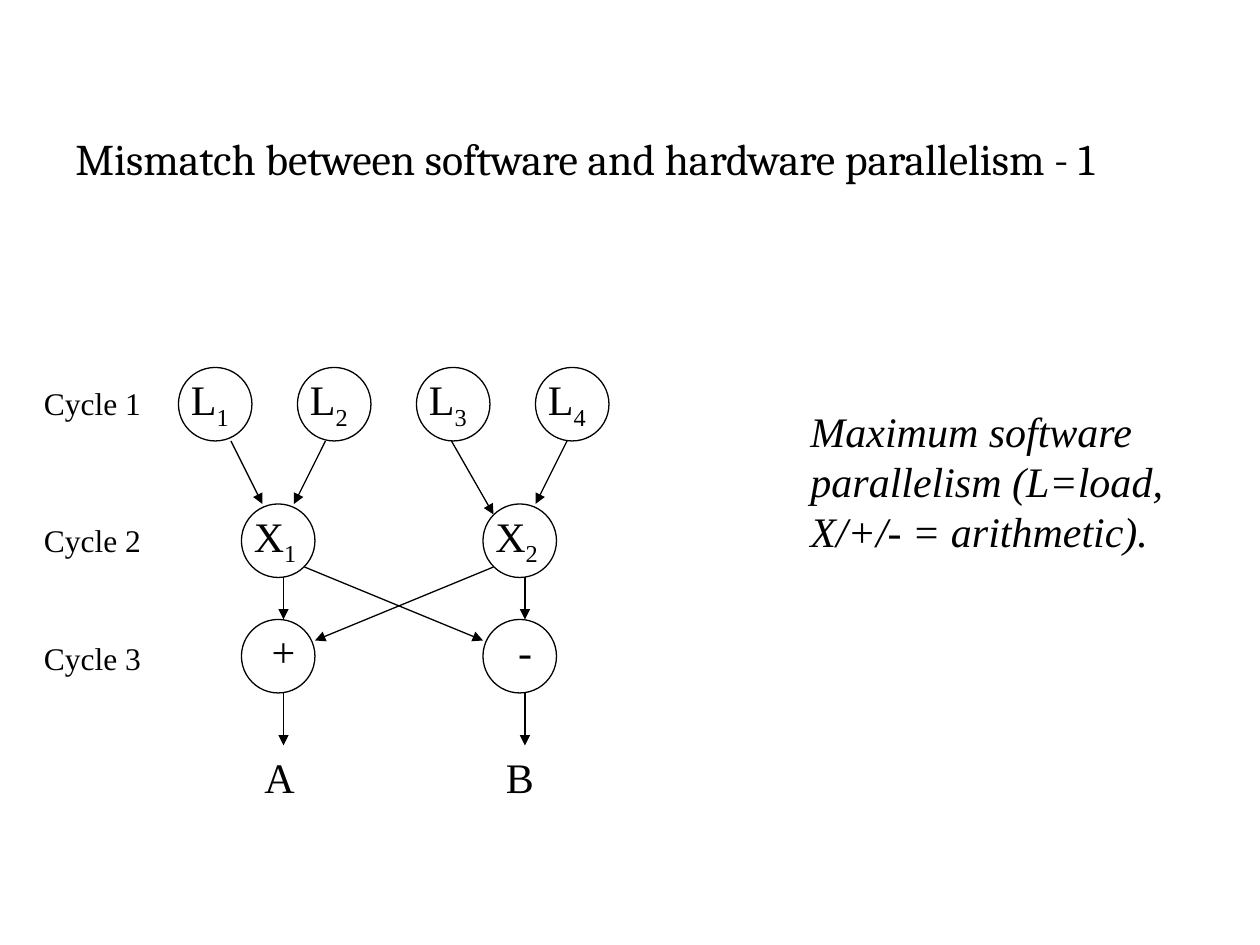
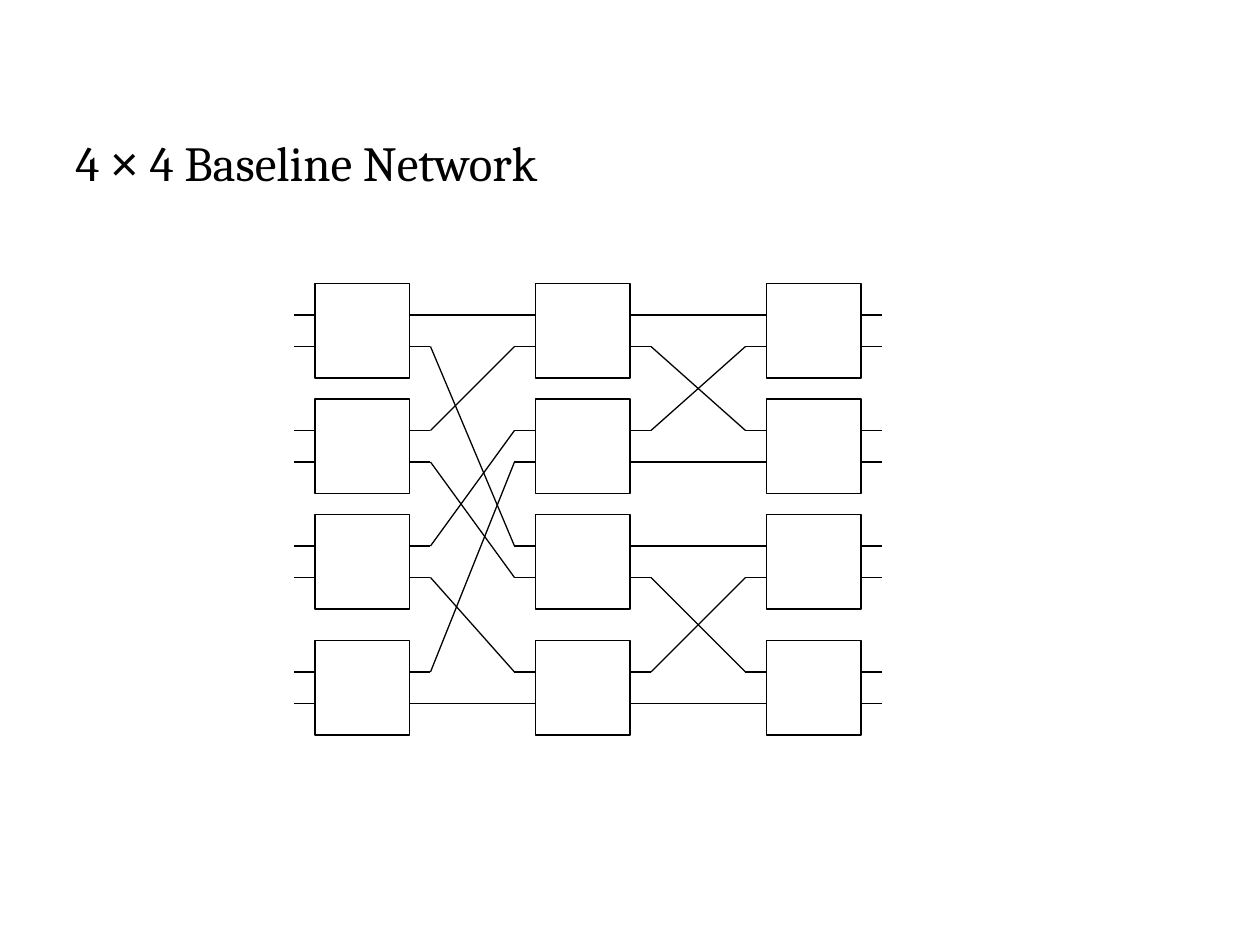
from lxml import etree
from pptx import Presentation
from pptx.dml.color import RGBColor
from pptx.enum import shapes, text
from pptx.oxml import ns
from pptx.util import Pt

INK = RGBColor(0, 0, 0)
PAPER = RGBColor(255, 255, 255)
TITLE_FONT, BODY_FONT, SYMBOL_FONT = "Cambria", "Times New Roman", "Arial"
TITLE_BOX = (36, 72, 648, 72)
LINE_WIDTH = 0.75
SUBSCRIPT = "-25000"


def add_text(slide, box, size, runs, align=text.PP_ALIGN.LEFT, italic=False):
    """Add a text box; each run is (words, font, baseline shift or None)."""
    frame = slide.shapes.add_textbox(*map(Pt, box)).text_frame
    frame.word_wrap = True
    frame.auto_size = text.MSO_AUTO_SIZE.NONE
    frame.vertical_anchor = text.MSO_ANCHOR.TOP
    paragraph = frame.paragraphs[0]
    paragraph.alignment = align
    for words, font, baseline in runs:
        run = paragraph.add_run()
        run.text = words
        run.font.name = font
        run.font.size = Pt(size)
        run.font.italic = italic
        run.font.color.rgb = INK
        if baseline:
            run._r.get_or_add_rPr().set("baseline", baseline)


def add_line(slide, x1, y1, x2, y2, arrow=False):
    line = slide.shapes.add_connector(
        shapes.MSO_CONNECTOR.STRAIGHT, Pt(x1), Pt(y1), Pt(x2), Pt(y2))
    line.line.color.rgb = INK
    line.line.width = Pt(LINE_WIDTH)
    if arrow:
        etree.SubElement(line.line._get_or_add_ln(), ns.qn("a:tailEnd"), type="triangle")
    etree.SubElement(line._element.spPr, ns.qn("a:effectLst"))


deck = Presentation()
deck.slide_width, deck.slide_height = Pt(720), Pt(540)
titles = [
    (25, [("Mismatch between software and hardware parallelism - 1", TITLE_FONT, None)]),
    (28, [("4 ", TITLE_FONT, None), ("×", SYMBOL_FONT, None),
          (" 4 Baseline Network", TITLE_FONT, None)]),
]
for size, runs in titles:
    slide = deck.slides.add_slide(deck.slide_layouts[6])
    slide.background.fill.solid()
    slide.background.fill.fore_color.rgb = PAPER
    add_text(slide, TITLE_BOX, size, runs)
parallelism, network = deck.slides

# Slide 1: data-flow graph over three cycles
NODE = 42
LOAD_Y, MULTIPLY_Y, SUM_Y = 210, 288, 354
BRANCHES = (138, 276)
nodes = [(102 + 68 * i, LOAD_Y, "L", str(i + 1)) for i in range(4)]
nodes += [(x, MULTIPLY_Y, "X", str(i + 1)) for i, x in enumerate(BRANCHES)]
nodes += [(x, SUM_Y, sign, "") for x, sign in zip(BRANCHES, "+-")]
for x, y, letter, index in nodes:
    node = parallelism.shapes.add_shape(
        shapes.MSO_SHAPE.OVAL, Pt(x), Pt(y), Pt(NODE), Pt(NODE))
    node.shadow.inherit = False
    node.fill.background()
    node.line.color.rgb = INK
    node.line.width = Pt(LINE_WIDTH)
    label = [(letter, BODY_FONT, None)]
    if index:
        label.append((index, BODY_FONT, SUBSCRIPT))
    add_text(parallelism, (x, y, 48, 40), 24, label,
             text.PP_ALIGN.LEFT if index else text.PP_ALIGN.CENTER)

flows = [
    (132, 252, 150, 288), (186, 252, 168, 288),
    (258, 252, 282, 294), (324, 252, 306, 288),
    (174, 324, 276, 366), (282, 324, 180, 366),
]
for x, result in zip(BRANCHES, "AB"):
    flows += [(x + 24, MULTIPLY_Y + NODE, x + 24, SUM_Y),
              (x + 24, SUM_Y + NODE, x + 24, 426)]
    add_text(parallelism, (x + 6, 426, 36, 36), 24, [(result, BODY_FONT, None)])
for flow in flows:
    add_line(parallelism, *flow, arrow=True)

for cycle, y in enumerate((216, 294, 361.5), 1):
    add_text(parallelism, (18, y, 72, 29), 18, [(f"Cycle {cycle}", BODY_FONT, None)])
add_text(parallelism, (456, 228, 228, 94), 24,
         [("Maximum software parallelism (L=load, X/+/- = arithmetic).", BODY_FONT, None)],
         italic=True)

# Slide 2: three stages of switches with permuted wiring between them
SWITCH, STUB = 54, 12
STAGES = (180, 306, 438)
ROWS = (162, 228, 294, 366)
PORTS = [y + offset for y in ROWS for offset in (18, 36)]
WIRING = ((0, 4, 1, 5, 2, 6, 3, 7), (0, 2, 1, 3, 4, 6, 5, 7))
for x in STAGES:
    for y in ROWS:
        switch = network.shapes.add_shape(
            shapes.MSO_SHAPE.RECTANGLE, Pt(x), Pt(y), Pt(SWITCH), Pt(SWITCH))
        switch.shadow.inherit = False
        switch.fill.background()
        switch.line.color.rgb = INK
        switch.line.width = Pt(LINE_WIDTH)
    for port in PORTS:
        add_line(network, x, port, x - STUB, port)
        add_line(network, x + SWITCH + STUB, port, x + SWITCH, port)

for left, right, targets in zip(STAGES, STAGES[1:], WIRING):
    for port, target in zip(PORTS, targets):
        add_line(network, left + SWITCH + STUB, port, right - STUB, PORTS[target])

deck.save("out.pptx")
